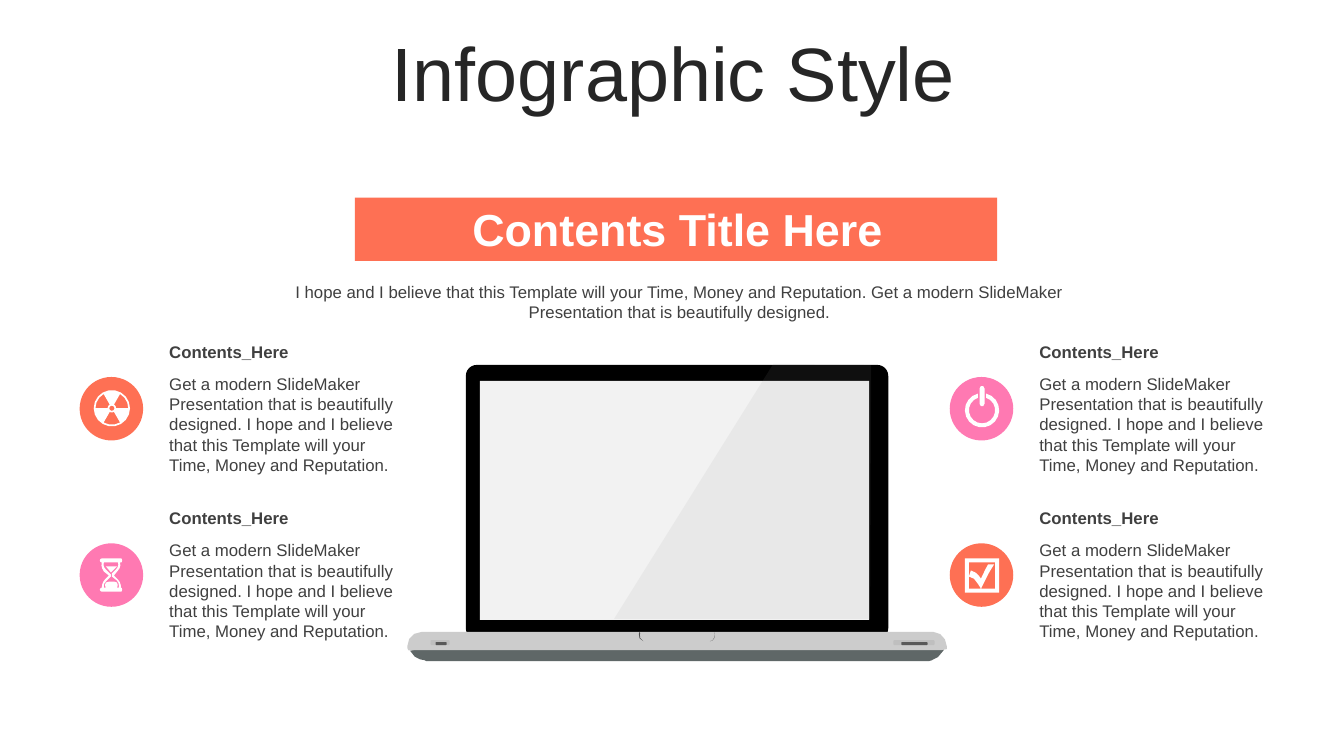
import math

import pptx
import pptx.dml.color
import pptx.enum.shapes
import pptx.enum.text
import pptx.oxml
import pptx.oxml.ns
import pptx.util

Inches = pptx.util.Inches
SHAPE = pptx.enum.shapes.MSO_SHAPE
ANCHOR = pptx.enum.text.MSO_ANCHOR
ALIGN = pptx.enum.text.PP_ALIGN

COLORS = {
    "title": "262626", "body": "404040", "white": "FFFFFF",
    "coral": "FE7054", "pink": "FF79B2", "lid": "000000",
    "screen": "F2F2F2", "base": "CCCCCC", "foot": "5F6767",
    "notch": "4D4D4D", "slot": "BFBFBF", "port": "595959", "glare": "999999",
}
SUMMARY = ("I hope and I believe that this Template will your Time, Money and "
           "Reputation. Get a modern SlideMaker Presentation that is beautifully designed.")
DETAIL = ("Get a modern SlideMaker Presentation that is beautifully designed. I hope "
          "and I believe that this Template will your Time, Money and Reputation.")
FOOT = ("M 521 296 C 521 296 532 294 536 285 C 536 282 534 280 531 280 L 12 282 "
        "C 9 282 7 284 7 286 C 10 293 18 295 21 295 L 23 296")
BASE = ("M 18 267 L 526 267 C 533 267 539 274 539 281 L 539 284 L 534 285 "
        "L 11 285 C 7 286 4 286 4 283 L 4 281 C 4 273 10 267 18 267")
NOTCH = ("M 309 267 C 310 275 306 276 304 276 L 305 276 C 307 275 309 274 309 268 "
         "M 234 267 L 235 268 C 235 268 233 274 238 276 C 232 275 234 267 234 267")
GLARE = "M 367 1 L 464 2 L 463 254 L 209 254"
HOURGLASS = (
    "M 32 38 C 34 38 35 38 37 39 C 38 41 38 42 37 44 L 26 44 C 25 42 25 41 26 39 "
    "C 28 38 30 38 32 38 M 26 23 L 37 23 L 36 24 L 31 29 L 27 24 "
    "M 24 19 C 23 22 24 24 26 26 L 31 31 L 31 33 L 26 38 C 24 39 24 42 24 44 L 39 44 "
    "C 39 42 39 39 37 37 L 32 33 L 32 30 L 36 26 C 38 24 39 21 38 19 "
    "M 22 15 L 41 15 C 42 15 42 16 42 17 C 42 18 42 19 41 19 L 40 19 C 41 22 40 25 38 27 "
    "L 34 32 L 38 36 C 40 38 41 41 41 44 C 42 44 42 45 42 46 C 42 47 42 48 41 48 L 22 48 "
    "C 21 48 20 47 20 46 C 20 45 21 44 22 44 C 22 41 23 38 25 36 L 29 32 L 24 28 "
    "C 22 25 21 22 22 19 C 21 19 20 18 20 17 C 20 16 21 15 22 15")
CHECKBOX = ("M 15 15 L 49 15 L 49 49 L 15 49 M 19 19 L 45 19 L 45 45 L 19 45 "
            "M 19 33 L 21 27 C 27 29 28 31 31 35 C 34 29 35 26 38 21 L 44 21 "
            "C 39 28 35 37 31 45 C 28 41 25 33 19 33")
STEM = "M 29.5 11.5 C 29.5 8 34.5 8 34.5 11.5 L 34.5 26.5 C 34.5 30 29.5 30 29.5 26.5"


def paint(shape, color):
    """Give a shape a flat fill without line or shadow."""
    shape.shadow.inherit = False
    shape.fill.solid()
    shape.fill.fore_color.rgb = pptx.dml.color.RGBColor.from_string(COLORS[color])
    shape.line.fill.background()
    return shape


def add_block(page, kind, box, color, corner=None):
    """Add a filled preset shape in a box given in inches."""
    shape = paint(page.shapes.add_shape(kind, *map(Inches, box)), color)
    if corner is not None:
        shape.adjustments[0] = corner
    return shape


def trace(path, steps=3):
    """Turn a path of moves, lines and cubic curves into loops of points."""
    loops = []
    for part in path.replace("M", "|M").replace("L", "|L").replace("C", "|C").split("|")[1:]:
        command, *numbers = part.split()
        values = list(map(float, numbers))
        points = list(zip(values[::2], values[1::2]))
        if command == "M":
            loops.append(points)
        elif command == "L":
            loops[-1] += points
        else:
            corners = [loops[-1][-1]] + points
            for step in range(1, steps + 1):
                t = step / steps
                weights = [math.comb(3, k) * t ** k * (1 - t) ** (3 - k) for k in range(4)]
                loops[-1].append(tuple(
                    sum(w * corner[axis] for w, corner in zip(weights, corners))
                    for axis in (0, 1)))
    return loops


def arc(center, radius, start, end, turn=20):
    """Return points on a circle between two angles in degrees."""
    steps = round(abs(end - start) / turn)
    angles = [math.radians(start + (end - start) * k / steps) for k in range(steps + 1)]
    return [(center[0] + radius * math.cos(a), center[1] + radius * math.sin(a)) for a in angles]


def add_outline(page, left, top, loops, color):
    """Add one filled outline from loops in hundredths of an inch."""
    placed = [[(Inches(left + x / 100), Inches(top + y / 100)) for x, y in loop]
              for loop in loops]
    builder = page.shapes.build_freeform(*placed[0][0], scale=1.0)
    for index, loop in enumerate(placed):
        if index:
            builder.move_to(*loop[0])
        builder.add_line_segments(loop[1:], close=True)
    return paint(builder.convert_to_shape(), color)


def add_text(page, box, text, size, color, bold=False, align=ALIGN.LEFT,
             anchor=ANCHOR.TOP, spacing=None):
    """Add a wrapped text box with one paragraph."""
    frame = page.shapes.add_textbox(*map(Inches, box)).text_frame
    frame.word_wrap = True
    frame.vertical_anchor = anchor
    para = frame.paragraphs[0]
    para.alignment = align
    if spacing:
        para.line_spacing = spacing
    span = para.add_run()
    span.text = text
    span.font.name = "Arial"
    span.font.size = pptx.util.Pt(size)
    span.font.bold = bold
    span.font.color.rgb = pptx.dml.color.RGBColor.from_string(COLORS[color])


def draw_laptop(page, left, top):
    """Draw the laptop from its top left corner."""
    add_outline(page, left, top, trace(FOOT), "foot")
    add_block(page, SHAPE.ROUNDED_RECTANGLE, (left + 0.62, top + 0.02, 4.19, 2.72), "lid", 0.04)
    add_block(page, SHAPE.RECTANGLE, (left + 0.76, top + 0.18, 3.86, 2.37), "screen")
    add_outline(page, left, top, trace(BASE), "base")
    add_outline(page, left, top, trace(NOTCH), "notch")
    for x, y, width, height, color in ((0.27, 2.75, 0.19, 0.05, "slot"),
                                       (0.32, 2.77, 0.11, 0.03, "port"),
                                       (4.86, 2.75, 0.41, 0.05, "slot"),
                                       (4.94, 2.77, 0.26, 0.03, "port")):
        add_block(page, SHAPE.ROUNDED_RECTANGLE, (left + x, top + y, width, height), color, 0.28)
    glare = add_outline(page, left, top, trace(GLARE), "glare")
    tint = glare.fill._xPr.find(".//" + pptx.oxml.ns.qn("a:srgbClr"))
    tint.append(pptx.oxml.parse_xml(
        '<a:alpha xmlns:a="http://schemas.openxmlformats.org/drawingml/2006/main" val="10000"/>'))


def radiation_loops():
    """Return the loops of the radiation sign."""
    center = (32, 31)
    loops = [arc(center, 18, 0, 360), arc(center, 2.6, 0, 360, 45)]
    for start in (60, 180, 300):
        loops.append(arc(center, 16.3, start, start + 60) + arc(center, 4.2, start + 60, start))
    return loops


def power_loops():
    """Return the loops of the power sign."""
    center = (32, 33)
    return [arc(center, 17, -76, 256) + arc(center, 13, 252, -72)] + trace(STEM)


def draw_item(page, left, top, color, icon):
    """Draw one disc with its icon, heading and detail text."""
    add_block(page, SHAPE.OVAL, (left, top + 0.4, 0.63, 0.63), color)
    add_outline(page, left, top + 0.4, icon, "white")
    add_text(page, (left + 0.79, top, 2.52, 0.3), "Contents_Here", 12, "body", bold=True)
    add_text(page, (left + 0.79, top + 0.32, 2.52, 1.11), DETAIL, 12, "body")


def draw_header(page, left, top, width):
    """Draw the slide title, the banner and the summary."""
    middle = {"align": ALIGN.CENTER, "anchor": ANCHOR.MIDDLE}
    add_text(page, (left, top, width, 0.79), "Infographic Style", 54, "title",
             spacing=0.9, **middle)
    add_block(page, SHAPE.RECTANGLE, (left + 3.17, top + 1.59, 6.37, 0.63), "coral")
    add_text(page, (left + 3.98, top + 1.58, 4.78, 0.63), "Contents Title Here", 32, "white",
             bold=True, **middle)
    add_text(page, (left + 2.19, top + 2.31, 8.4, 0.63), SUMMARY, 12, "body", **middle)


def main():
    """Build and save the slide."""
    deck = pptx.Presentation()
    deck.slide_width, deck.slide_height = Inches(13.33), Inches(7.5)
    page = deck.slides.add_slide(deck.slide_layouts[6])
    draw_laptop(page, 4, 3.6)
    draw_header(page, 0.35, 0.37, 12.66)
    icons = ((radiation_loops(), power_loops()), (trace(HOURGLASS), trace(CHECKBOX)))
    for row, pair in enumerate(icons):
        for column, icon in enumerate(pair):
            color = ("coral", "pink")[(row + column) % 2]
            draw_item(page, 0.79 + 8.63 * column, 3.34 + 1.65 * row, color, icon)
    deck.save("out.pptx")


if __name__ == "__main__":
    main()
